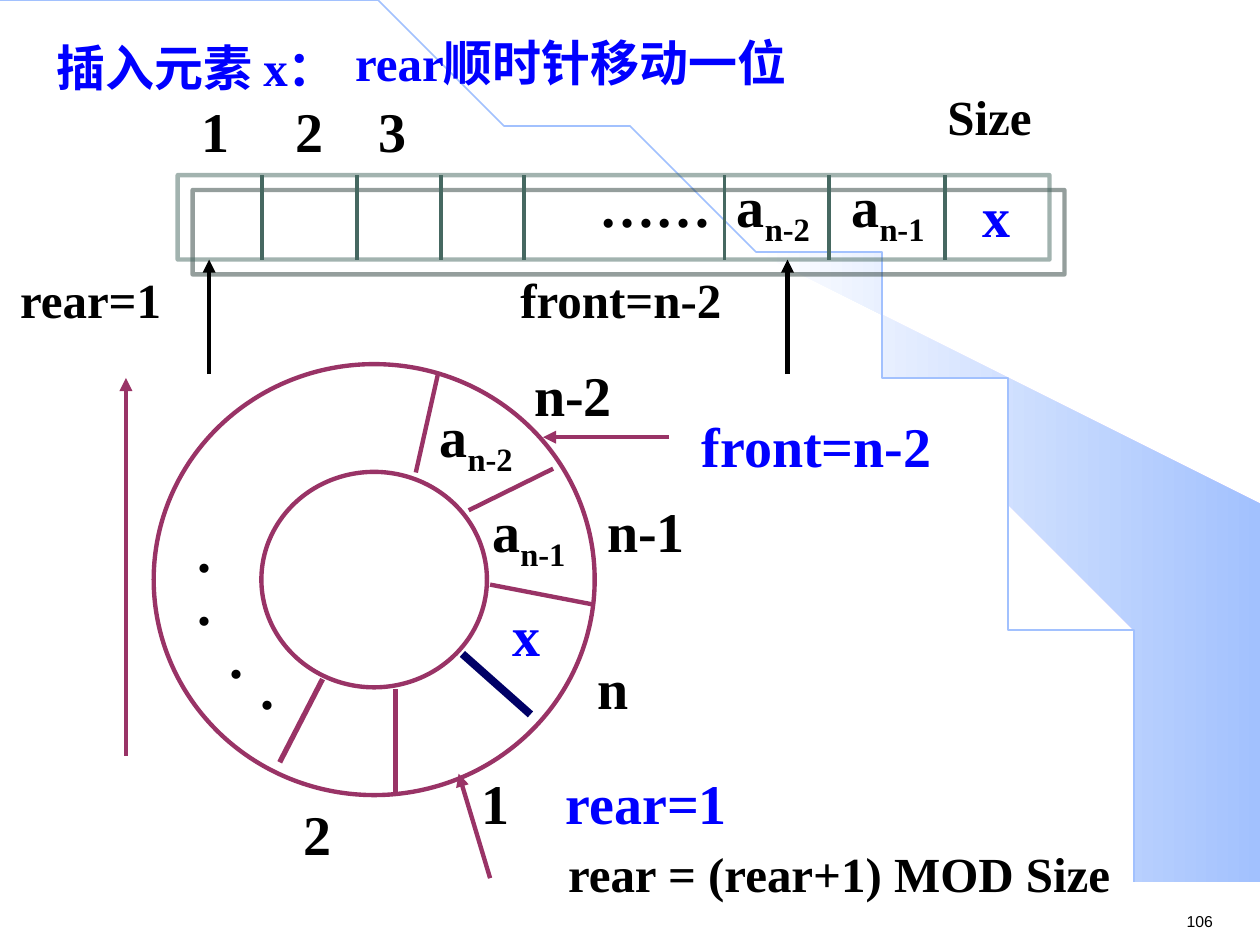
"""Build the slide on inserting an element into a circular queue."""
from dataclasses import dataclass

from lxml import etree
from pptx import Presentation
from pptx import util as u
from pptx.dml.color import RGBColor
from pptx.enum import shapes, text
from pptx.oxml.ns import qn


@dataclass(frozen=True)
class Theme:
    ink: str = "000000"
    accent: str = "0000FF"
    ring: str = "993366"
    insert: str = "000066"
    cell: str = "466861"
    cell_shadow: str = "2A3E3A"
    sweep: str = "A2C1FE"
    white: str = "FFFFFF"
    serif: str = "Times New Roman"
    sans: str = "Arial"
    large: float = 32
    medium: float = 28
    small: float = 9
    line: float = 2.5
    divider: float = 2.25


THEME = Theme()


@dataclass(frozen=True)
class Label:
    text: str
    left: float
    top: float
    width: float
    subscript: str = ""
    size: float = THEME.large
    color: str = THEME.ink
    font: str = THEME.serif
    bold: bool = True
    wrap: bool = True
    inset: bool = True
    centered: bool = False
    line_spacing: float = 1.0


@dataclass(frozen=True)
class Line:
    start: tuple[float, float]
    end: tuple[float, float]
    color: str = THEME.ring
    width: float = THEME.line
    arrow: bool = False


ROW_LEFT, ROW_TOP, ROW_WIDTH, ROW_HEIGHT = 1.41, 1.39, 6.92, 0.67
ROW_BOTTOM = ROW_TOP + ROW_HEIGHT
DIVIDERS = (2.08, 2.83, 3.5, 4.16, 5.75, 6.58, 7.5)

SWEEP_EDGE = (
    (9.2, 7.48), (9.99, 7.49), (9.99, 4.23), (5.89, 1.73), (6.24, 1.99), (6.53, 2.22),
    (6.85, 2.5), (7.16, 2.8), (7.62, 3.3), (8.03, 3.84), (8.32, 4.31), (8.58, 4.79),
    (8.78, 5.28), (8.93, 5.72), (9.03, 6.09), (9.13, 6.56), (9.17, 6.96),
)
SWEEP_ARC = ((0, 0), (5.08, 0), (9.2, 3.35), (9.2, 7.49))
CLOCKWISE_ARC = ((1.05, 5.66), (0.46, 5.22), (0.54, 4.12), (1.23, 3.2))

LINES = (
    *(Line((x, ROW_TOP), (x, ROW_BOTTOM), THEME.cell, THEME.divider) for x in DIVIDERS),
    *(Line((x, 2.97), (x, ROW_BOTTOM), THEME.ink, arrow=True) for x in (1.66, 6.25)),
    Line((3.89, 4.64), (4.72, 4.8)),
    Line((3.72, 4.05), (4.39, 3.72)),
    Line((3.67, 5.19), (4.21, 5.67), THEME.insert, 4.5),
    Line((3.14, 5.47), (3.14, 6.3)),
    Line((3.48, 2.95), (3.3, 3.75)),
    Line((2.56, 5.39), (2.22, 6.05), width=3),
    Line((5.31, 3.47), (4.31, 3.47), arrow=True),
    Line((3.89, 6.97), (3.64, 6.14), arrow=True),
)

DOTS = ((1.47, 4.05), (1.47, 4.47), (1.72, 4.89), (1.97, 5.14))

LABELS = (
    Label("106", 9.32, 7.19, 0.77, size=THEME.small, font=THEME.sans, bold=False, wrap=False),
    Label("插入元素 x：", 0.35, 0.25, 2.83, size=THEME.medium, color=THEME.accent),
    Label("rear顺时针移动一位", 2.72, 0.21, 3.72, size=THEME.medium, color=THEME.accent, wrap=False),
    Label("front=n-2", 4.13, 2.14, 1.91, size=THEME.medium, inset=False),
    Label("rear=1", 0.16, 2.14, 1.34, size=THEME.medium, inset=False),
    Label("Size", 7.42, 0.64, 1.58, size=THEME.medium),
    *(Label(number, x, 0.72, 0.5) for number, x in (("1", 1.5), ("2", 2.25), ("3", 2.91))),
    Label("……", 4.66, 1.31, 1.25),
    Label("a", 5.75, 1.31, 1, "n-2"),
    Label("a", 6.66, 1.31, 1, "n-1"),
    Label("x", 7.66, 1.39, 0.5, color=THEME.accent, centered=True),
    Label("n-2", 4.14, 2.81, 1),
    Label("n-1", 4.72, 3.89, 0.92),
    Label("n", 4.64, 5.14, 0.92),
    Label("1", 3.72, 6.05, 0.6),
    Label("2", 2.31, 6.3, 0.6),
    Label("a", 3.39, 3.14, 1, "n-2"),
    Label("a", 3.81, 3.89, 1, "n-1"),
    Label("x", 3.97, 4.72, 0.67, color=THEME.accent),
    *(Label(".", x, y, 0.6) for x, y in DOTS),
    Label("front=n-2", 5.47, 3.22, 2.5, color=THEME.accent),
    Label("rear=1", 4.39, 6.05, 1.92, color=THEME.accent),
    Label("rear = (rear+1) MOD Size", 4.41, 6.6, 4.52, size=THEME.medium, wrap=False, line_spacing=1.1),
)


def style_line(shape, color: str, width: float, arrow: bool = False) -> None:
    shape.line.color.rgb = RGBColor.from_string(color)
    shape.line.width = u.Pt(width)
    if arrow:
        etree.SubElement(shape.line._get_or_add_ln(), qn("a:tailEnd"), type="triangle")


def draw_line(slide, line: Line) -> None:
    ends = [u.Inches(value) for value in (*line.start, *line.end)]
    connector = slide.shapes.add_connector(shapes.MSO_CONNECTOR.STRAIGHT, *ends)
    style_line(connector, line.color, line.width, line.arrow)
    etree.SubElement(connector._element.spPr, qn("a:effectLst"))


def draw_outline(slide, points, close: bool):
    builder = slide.shapes.build_freeform(*points[0], scale=u.Inches(1))
    builder.add_line_segments(points[1:], close=close)
    shape = builder.convert_to_shape()
    shape.shadow.inherit = False
    return shape


def draw_curve(slide, controls, color: str, width: float, arrow: bool = False) -> None:
    steps = 48
    points = []
    for step in range(steps + 1):
        t = step / steps
        weights = ((1 - t) ** 3, 3 * t * (1 - t) ** 2, 3 * t * t * (1 - t), t ** 3)
        points.append(tuple(sum(w * p[axis] for w, p in zip(weights, controls)) for axis in (0, 1)))
    curve = draw_outline(slide, points, close=False)
    curve.fill.background()
    style_line(curve, color, width, arrow)


def draw_sweep(slide) -> None:
    sweep = draw_outline(slide, SWEEP_EDGE, close=True)
    sweep.line.fill.background()
    sweep.fill.gradient()
    sweep.fill.gradient_angle = 0
    for stop, color, position in zip(sweep.fill.gradient_stops, (THEME.white, THEME.sweep), (0, 1)):
        stop.color.rgb = RGBColor.from_string(color)
        stop.position = position
    draw_curve(slide, SWEEP_ARC, THEME.sweep, 1)


def draw_hollow(slide, kind, left: float, top: float, width: float, height: float, color: str):
    box = [u.Inches(value) for value in (left, top, width, height)]
    shape = slide.shapes.add_shape(kind, *box)
    shape.fill.background()
    shape.shadow.inherit = False
    style_line(shape, color, THEME.line)
    return shape


def draw_row(slide) -> None:
    row = draw_hollow(slide, shapes.MSO_SHAPE.RECTANGLE, ROW_LEFT, ROW_TOP, ROW_WIDTH, ROW_HEIGHT, THEME.cell)
    line_color = row._element.spPr.find(".//" + qn("a:ln")).find(".//" + qn("a:srgbClr"))
    etree.SubElement(line_color, qn("a:alpha"), val="50000")
    effects = row._element.spPr.find(qn("a:effectLst"))
    shadow = etree.SubElement(effects, qn("a:outerShdw"), dist=str(u.Pt(12.1)), dir="2700000", algn="ctr", rotWithShape="0")
    etree.SubElement(shadow, qn("a:srgbClr"), val=THEME.cell_shadow)


def draw_label(slide, label: Label) -> None:
    height = label.size / 50 + (0.07 if label.subscript else 0)
    box = [u.Inches(value) for value in (label.left, label.top, label.width, height)]
    frame = slide.shapes.add_textbox(*box).text_frame
    frame.word_wrap = label.wrap
    frame.auto_size = text.MSO_AUTO_SIZE.SHAPE_TO_FIT_TEXT
    if not label.inset:
        frame.margin_left = frame.margin_right = frame.margin_top = frame.margin_bottom = 0
    paragraph = frame.paragraphs[0]
    paragraph.text = label.text
    paragraph.alignment = text.PP_ALIGN.CENTER if label.centered else text.PP_ALIGN.LEFT
    paragraph.line_spacing = label.line_spacing
    if label.bold:
        paragraph.space_before = u.Pt(label.size * 0.625)
    if label.subscript:
        run = paragraph.add_run()
        run.text = label.subscript
        run._r.get_or_add_rPr().set("baseline", "-25000")
    for run in paragraph.runs:
        run.font.name = label.font
        run.font.size = u.Pt(label.size)
        run.font.bold = label.bold
        run.font.color.rgb = RGBColor.from_string(label.color)


def main() -> None:
    presentation = Presentation()
    presentation.slide_width, presentation.slide_height = u.Inches(10), u.Inches(7.5)
    slide = presentation.slides.add_slide(presentation.slide_layouts[6])
    draw_sweep(slide)
    draw_row(slide)
    draw_hollow(slide, shapes.MSO_SHAPE.DONUT, 1.22, 2.89, 3.5, 3.42, THEME.ring)
    draw_curve(slide, CLOCKWISE_ARC, THEME.ring, THEME.line, arrow=True)
    for line in LINES:
        draw_line(slide, line)
    for label in LABELS:
        draw_label(slide, label)
    presentation.save("out.pptx")


if __name__ == "__main__":
    main()
